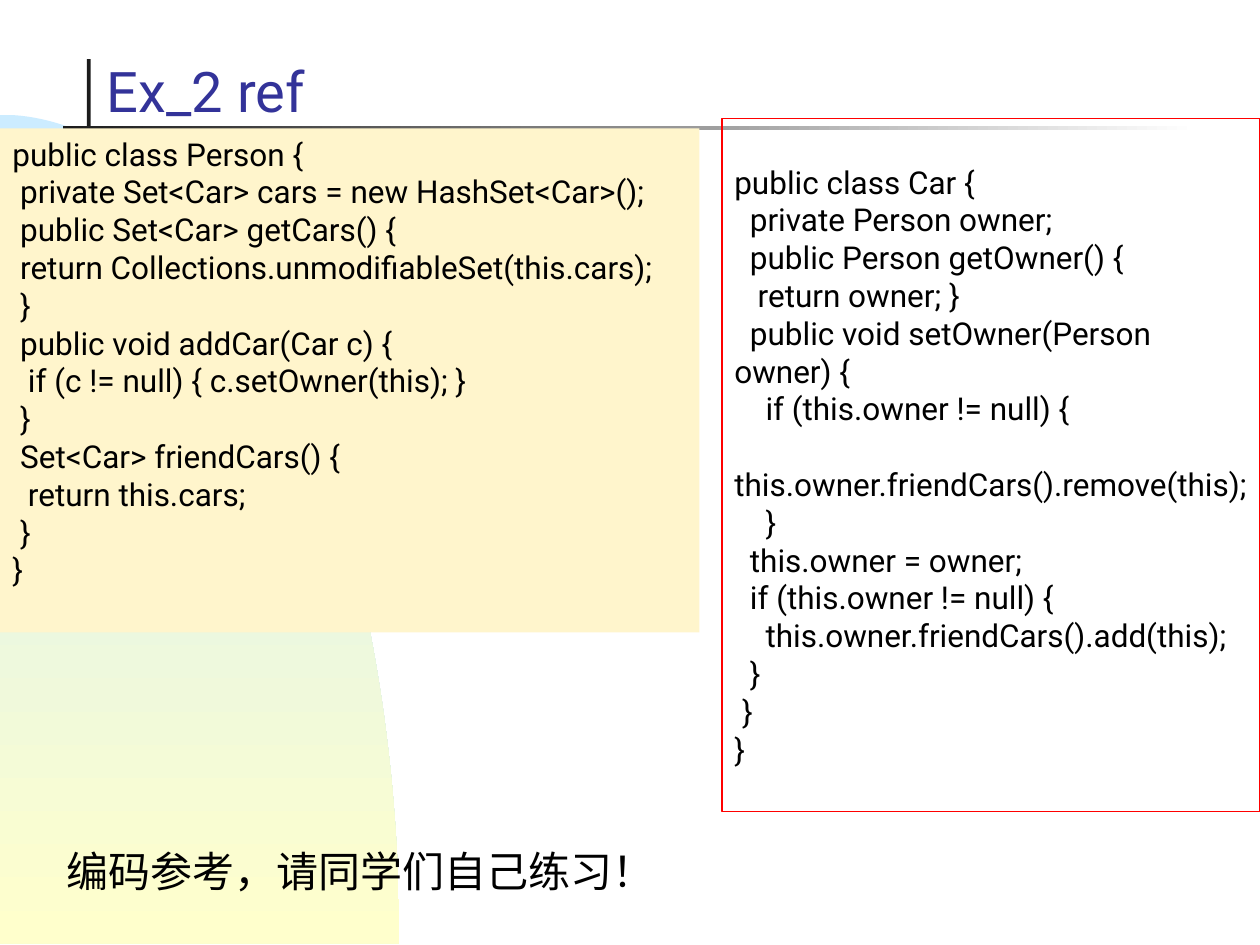
from dataclasses import dataclass
from math import cos, pi, sin

from pptx import Presentation
from pptx.dml.color import RGBColor
from pptx.enum.shapes import MSO_SHAPE
from pptx.enum.text import MSO_ANCHOR, PP_ALIGN
from pptx.util import Inches, Pt


@dataclass(frozen=True)
class Theme:
    font: str = "Roboto"
    black: RGBColor = RGBColor.from_string("000000")
    white: RGBColor = RGBColor.from_string("FFFFFF")
    title: RGBColor = RGBColor.from_string("333399")
    rule: RGBColor = RGBColor.from_string("1C1C1C")
    sky: RGBColor = RGBColor.from_string("CCECFF")
    lemon: RGBColor = RGBColor.from_string("FFFFCC")
    cream: RGBColor = RGBColor.from_string("FFF5CC")
    red: RGBColor = RGBColor.from_string("FF0000")
    title_size: Pt = Pt(32)
    note_size: Pt = Pt(24)
    code_size: Pt = Pt(18)


theme = Theme()


def fill_gradient(shape, colors, angle):
    shape.shadow.inherit = False
    shape.line.fill.background()
    shape.fill.gradient()
    shape.fill.gradient_angle = angle
    for stop, color in zip(shape.fill.gradient_stops, colors):
        stop.color.rgb = color


def write_lines(shape, text, size, color=theme.black, anchor=MSO_ANCHOR.TOP):
    frame = shape.text_frame
    frame.word_wrap = True
    frame.vertical_anchor = anchor
    frame.text = text
    for para in frame.paragraphs:
        para.alignment = PP_ALIGN.LEFT
        para.font.name = theme.font
        para.font.size = size
        para.font.color.rgb = color


PERSON_CODE = """public class Person {
 private Set<Car> cars = new HashSet<Car>();
 public Set<Car> getCars() {
 return Collections.unmodifiableSet(this.cars);
 }
 public void addCar(Car c) {
  if (c != null) { c.setOwner(this); }
 }
 Set<Car> friendCars() {
  return this.cars;
 }
}"""

CAR_CODE = """public class Car {
  private Person owner;
  public Person getOwner() {
   return owner; }
  public void setOwner(Person owner) {
    if (this.owner != null) {
     this.owner.friendCars().remove(this);
    }
  this.owner = owner;
  if (this.owner != null) {
    this.owner.friendCars().add(this);
  }
 }
}"""

deck = Presentation()
deck.slide_width, deck.slide_height = Inches(10), Inches(7.5)
page = deck.slides.add_slide(deck.slide_layouts[6])
shapes = page.shapes

# Quarter ellipse in the lower left corner
radius_x, radius_y, base = Inches(3.17), Inches(6.58), Inches(7.49)
steps = 90
arc = [
    (radius_x * sin(step * pi / 2 / steps), base - radius_y * cos(step * pi / 2 / steps))
    for step in range(steps + 1)
]
builder = shapes.build_freeform(0, base)
builder.add_line_segments(arc, close=True)
fill_gradient(builder.convert_to_shape(), (theme.sky, theme.lemon), 270)

# Title rules
upright = shapes.add_shape(
    MSO_SHAPE.RECTANGLE, Inches(0.69), Inches(0.47), Inches(0.03), Inches(1.15)
)
upright.shadow.inherit = False
upright.fill.solid()
upright.fill.fore_color.rgb = theme.rule
upright.line.fill.background()

underline = shapes.add_shape(
    MSO_SHAPE.RECTANGLE, Inches(0.5), Inches(1), Inches(9), Inches(0.03)
)
fill_gradient(underline, (theme.rule, theme.white), 0)

# Car class
car_panel = shapes.add_shape(
    MSO_SHAPE.RECTANGLE, Inches(5.73), Inches(0.94), Inches(4.27), Inches(5.5)
)
car_panel.shadow.inherit = False
car_panel.fill.background()
car_panel.line.color.rgb = theme.red
car_panel.line.width = Pt(0.75)
write_lines(car_panel, CAR_CODE, theme.code_size, anchor=MSO_ANCHOR.MIDDLE)

# Closing note
note = shapes.add_textbox(Inches(0.43), Inches(6.74), Inches(8.74), Inches(0.42))
write_lines(note, "编码参考，请同学们自己练习！", theme.note_size)
note.text_frame.paragraphs[0].line_spacing = 0.8

# Title
title = shapes.add_textbox(Inches(0.75), Inches(0.28), Inches(7.08), Inches(0.75))
write_lines(title, "Ex_2 ref", theme.title_size, theme.title, MSO_ANCHOR.BOTTOM)

# Person class
person_panel = shapes.add_shape(
    MSO_SHAPE.RECTANGLE, 0, Inches(1.02), Inches(5.55), Inches(4)
)
person_panel.shadow.inherit = False
person_panel.fill.solid()
person_panel.fill.fore_color.rgb = theme.cream
person_panel.line.fill.background()
write_lines(person_panel, PERSON_CODE, theme.code_size)

deck.save("out.pptx")
